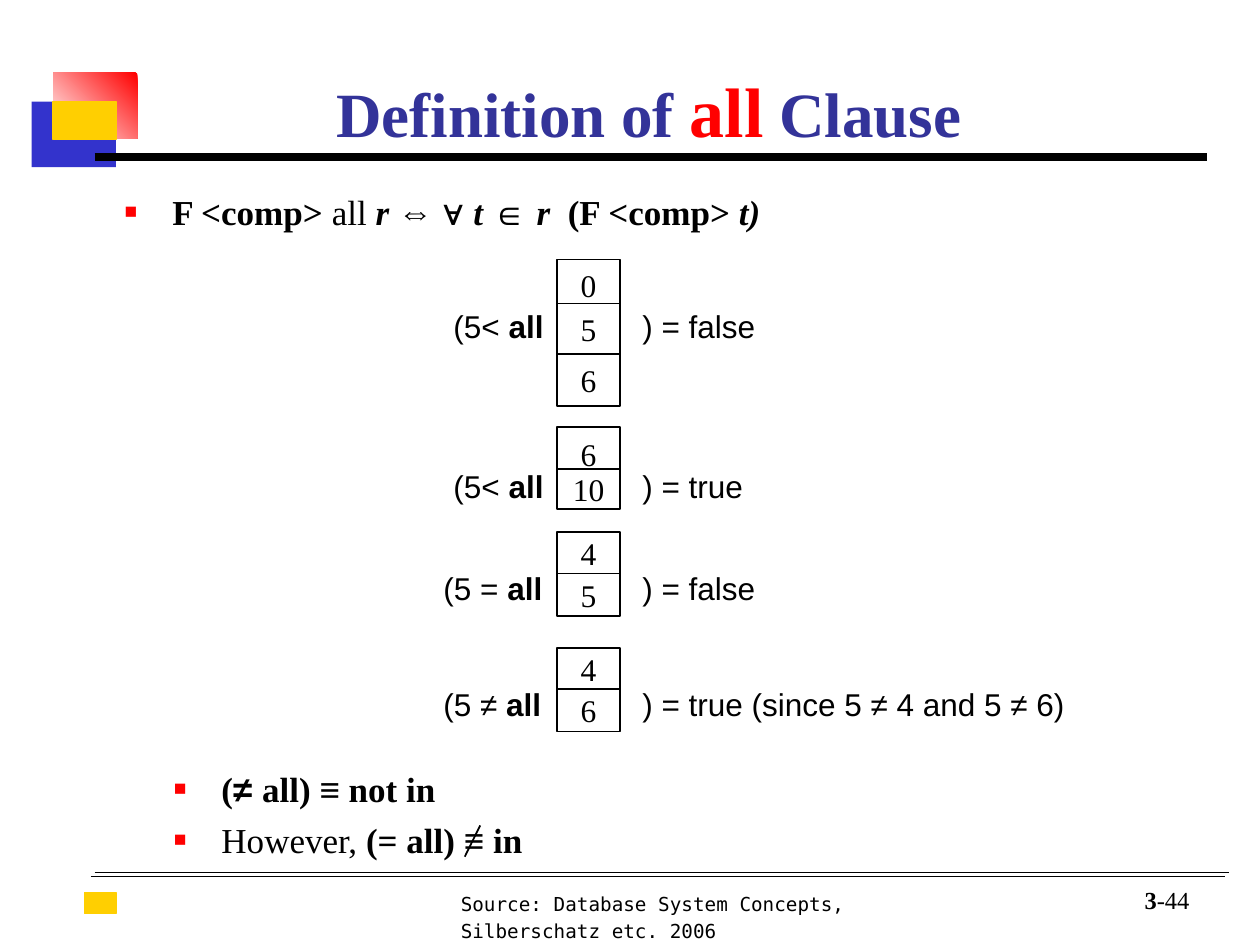
import pptx
import pptx.dml.color
import pptx.enum.shapes
import pptx.enum.text
import pptx.oxml.ns
import pptx.util
from lxml import etree

Cm = pptx.util.Cm
Pt = pptx.util.Pt
RGBColor = pptx.dml.color.RGBColor
ALIGN = pptx.enum.text.PP_ALIGN
ANCHOR = pptx.enum.text.MSO_ANCHOR

BLACK = RGBColor(0x00, 0x00, 0x00)
WHITE = RGBColor(0xFF, 0xFF, 0xFF)
RED = RGBColor(0xFF, 0x00, 0x00)
BLUE = RGBColor(0x33, 0x33, 0xCC)
NAVY = RGBColor(0x33, 0x33, 0x99)
YELLOW = RGBColor(0xFF, 0xCF, 0x01)

SERIF = "Times New Roman"
SANS = "Arial"
MONO = "DejaVu Sans Mono"


def add_span(para, text, font=SERIF, size=18, color=BLACK, bold=False, italic=False):
    span = para.add_run()
    span.text = text
    span.font.name = font
    span.font.size = Pt(size)
    span.font.color.rgb = color
    span.font.bold = bold
    span.font.italic = italic


def place(box, left, top, width, height):
    box.left, box.top = Cm(left), Cm(top)
    box.width, box.height = Cm(width), Cm(height)


def add_text_box(page, left, top, width, height):
    box = page.shapes.add_textbox(Cm(left), Cm(top), Cm(width), Cm(height))
    box.text_frame.word_wrap = True
    return box.text_frame


def add_rectangle(page, left, top, width, height, fill=None, line=None, line_width=0.75):
    box = page.shapes.add_shape(
        pptx.enum.shapes.MSO_SHAPE.RECTANGLE, Cm(left), Cm(top), Cm(width), Cm(height)
    )
    box.shadow.inherit = False
    if fill is not None:
        box.fill.solid()
        box.fill.fore_color.rgb = fill
    if line is None:
        box.line.fill.background()
    else:
        box.line.color.rgb = line
        box.line.width = Pt(line_width)
    return box


def add_line(page, start, end, width):
    line = page.shapes.add_connector(
        pptx.enum.shapes.MSO_CONNECTOR.STRAIGHT, *(Cm(value) for value in start + end)
    )
    line.line.color.rgb = BLACK
    line.line.width = Pt(width)
    etree.SubElement(line._element.spPr, pptx.oxml.ns.qn("a:effectLst"))


def add_bullet(para):
    properties = para._p.get_or_add_pPr()
    properties.set("marL", str(Cm(0.96)))
    properties.set("indent", str(-Cm(0.96)))
    color = etree.SubElement(properties, pptx.oxml.ns.qn("a:buClr"))
    etree.SubElement(color, pptx.oxml.ns.qn("a:srgbClr"), val=str(RED))
    etree.SubElement(properties, pptx.oxml.ns.qn("a:buSzPct"), val="60000")
    etree.SubElement(properties, pptx.oxml.ns.qn("a:buFont"), typeface=SANS)
    etree.SubElement(properties, pptx.oxml.ns.qn("a:buChar"), char="■")


def build_ornament(page, left, top):
    add_rectangle(page, left, top + 0.58, 1.7, 1.32, fill=BLUE)
    fading = add_rectangle(page, left + 0.43, top, 1.7, 1.32)
    fading.fill.gradient()
    fading.fill.gradient_angle = 225
    for stop, color in zip(fading.fill.gradient_stops, (RED, WHITE)):
        stop.color.rgb = color
    add_rectangle(page, left + 0.43, top + 0.58, 1.27, 0.76, fill=YELLOW, line=YELLOW)
    add_line(page, (left + 1.27, top + 1.7), (left + 23.7, top + 1.7), 4.5)


def build_footer(page, left, top):
    add_line(page, (left + 0.08, top), (left + 22.94, top), 0.5)
    add_line(page, (left, top + 0.08), (left + 22.86, top + 0.08), 0.5)
    add_rectangle(page, left - 0.13, top + 0.41, 0.64, 0.43, fill=YELLOW, line=YELLOW)
    source = add_text_box(page, left + 7.21, top + 0.18, 11.05, 1.37).paragraphs[0]
    source.line_spacing = 1.2
    add_span(
        source,
        "Source: Database System Concepts, Silberschatz etc. 2006",
        font=MONO,
        size=11,
    )
    frame = add_text_box(page, left + 20.29, top + 0.13, 2.11, 0.84)
    frame.vertical_anchor = ANCHOR.BOTTOM
    number = frame.paragraphs[0]
    number.alignment = ALIGN.RIGHT
    add_span(number, "3", size=14, bold=True)
    add_span(number, "-44", size=14)


def build_title(box):
    place(box, 2.97, 1.27, 20.22, 1.91)
    frame = box.text_frame
    frame.auto_size = pptx.enum.text.MSO_AUTO_SIZE.NONE
    frame.vertical_anchor = ANCHOR.BOTTOM
    para = frame.paragraphs[0]
    para.alignment = ALIGN.CENTER
    add_span(para, "Definition of ", size=36, color=NAVY, bold=True)
    add_span(para, "all", size=40, color=RED, bold=True)
    add_span(para, " Clause", size=36, color=NAVY, bold=True)


def build_list(box, bounds, items):
    place(box, *bounds)
    frame = box.text_frame
    frame.auto_size = pptx.enum.text.MSO_AUTO_SIZE.NONE
    for index, spans in enumerate(items):
        para = frame.add_paragraph() if index else frame.paragraphs[0]
        para.space_before = Pt(5 if index else 0)
        add_bullet(para)
        for text, style in spans:
            add_span(para, text, **{"size": 20, "bold": True, **style})


def build_example(page, label_left, label_top, operator, result, result_width, cells):
    label = add_text_box(page, label_left, label_top, 3.4, 1.02).paragraphs[0]
    add_span(label, operator, font=SANS)
    add_span(label, "all", font=SANS, bold=True)
    outcome = add_text_box(page, 12.7, label_top, result_width, 1.02).paragraphs[0]
    add_span(outcome, result, font=SANS)
    for value, top, height in cells:
        cell = add_rectangle(
            page, 11.23, top, 1.27, height, fill=WHITE, line=BLACK, line_width=1
        )
        cell.text_frame.word_wrap = False
        cell.text_frame.vertical_anchor = ANCHOR.MIDDLE
        para = cell.text_frame.paragraphs[0]
        para.alignment = ALIGN.CENTER
        add_span(para, value)


def main():
    deck = pptx.Presentation()
    deck.slide_width, deck.slide_height = Cm(25.4), Cm(19.05)
    page = deck.slides.add_slide(deck.slide_layouts[3])
    title, definition, equivalences = page.placeholders

    build_ornament(page, 0.64, 1.47)
    build_footer(page, 1.83, 17.58)
    build_title(title)

    symbol, variable = {"font": SANS}, {"italic": True}
    build_list(definition, (2.26, 3.71, 19.08, 1.09), [
        [("F <comp> ", {}), ("all ", {"bold": False}), ("r ", variable),
         ("⇔ ∀ ", symbol), ("t ", variable), ("∈ ", symbol), ("r ", variable),
         (" (F <comp> ", {}), ("t)", variable)],
    ])
    build_list(equivalences, (3.25, 15.34, 18.9, 1.75), [
        [("(", {}), ("≠ ", symbol), ("all) ", {}), ("≡", symbol), (" not in", {})],
        [("However,", {"bold": False}), (" (= all) ", {}), ("≡", symbol), (" in", {})],
    ])

    examples = [
        (8.89, 6.07, "(5< ", ") = false", 3.38,
         [("0", 5.23, 1.04), ("5", 6.12, 1.04), ("6", 7.14, 1.04)]),
        (8.89, 9.3, "(5< ", ") = true", 3.38,
         [("6", 8.61, 1.07), ("10", 9.45, 0.81)]),
        (8.69, 11.35, "(5 = ", ") = false", 3.38,
         [("4", 10.72, 0.86), ("5", 11.56, 0.86)]),
        (8.69, 13.69, "(5 ≠ ", ") = true (since 5 ≠ 4 and 5 ≠ 6)", 12.7,
         [("4", 13.06, 0.86), ("6", 13.89, 0.86)]),
    ]
    for example in examples:
        build_example(page, *example)
    add_line(page, (9.68, 16.64), (9.37, 17.27), 1)

    deck.save("out.pptx")


if __name__ == "__main__":
    main()
